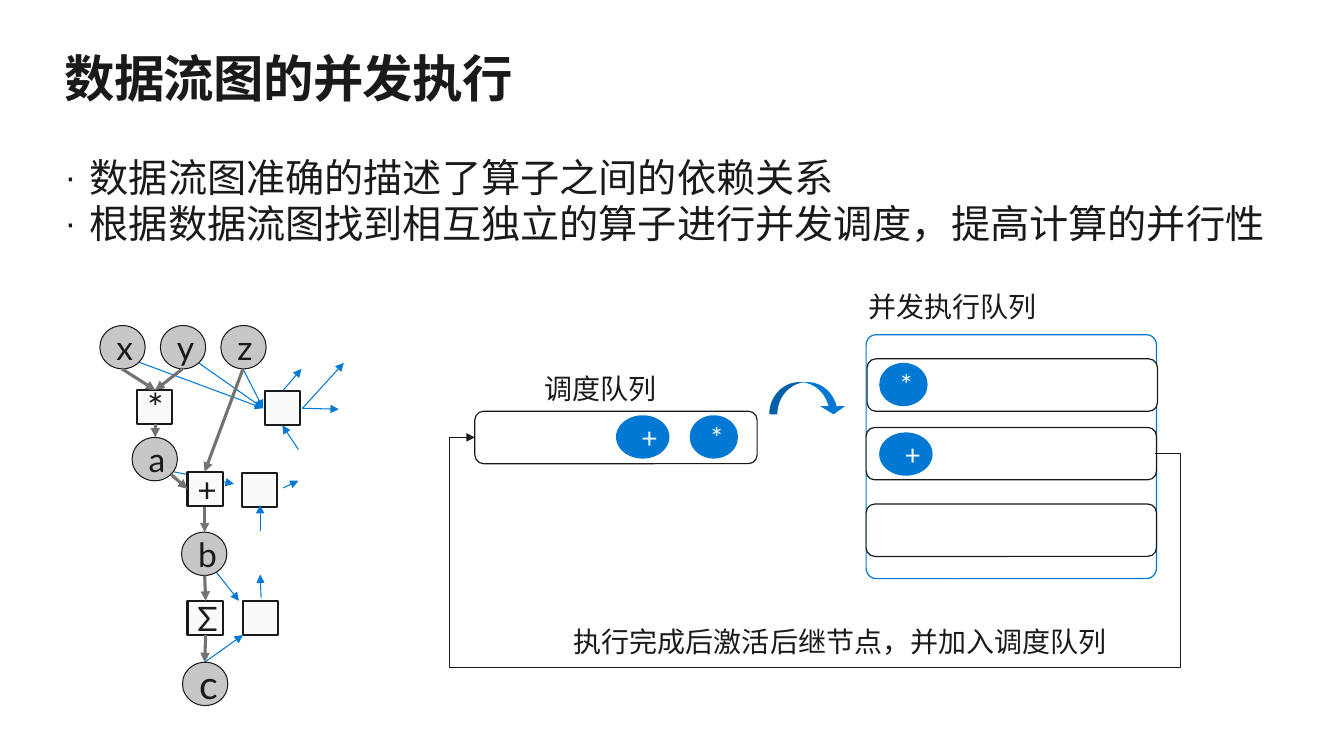
from dataclasses import dataclass

from lxml import etree
from pptx import Presentation
from pptx.dml.color import RGBColor
from pptx.enum.lang import MSO_LANGUAGE_ID as LANG
from pptx.enum.shapes import MSO_CONNECTOR as CONN, MSO_SHAPE as SHAPE
from pptx.enum.text import MSO_ANCHOR as ANCHOR, MSO_AUTO_SIZE as FIT, PP_ALIGN as ALIGN
from pptx.oxml.ns import qn
from pptx.util import Inches, Pt


@dataclass
class Theme:
    font: str = "Lato"
    ink: str = "1A1A1A"
    white: str = "FFFFFF"
    paper: str = "FAFAFA"
    blue: str = "0078D4"
    node: str = "C7C7C7"
    edge: str = "737373"
    title: int = 36
    body: int = 28
    symbol: int = 24
    label: int = 20


T = Theme()


def write(tf, text, size, color=T.ink, bold=False, align=ALIGN.LEFT, inset=(0, 0),
          anchor=ANCHOR.TOP, wrap=True, fit=FIT.NONE, spacing=None, bullet=None, gap=0):
    """Fill a text frame, one paragraph per line of text."""
    tf.margin_left = tf.margin_right = Inches(inset[0])
    tf.margin_top = tf.margin_bottom = Inches(inset[1])
    tf.vertical_anchor, tf.word_wrap, tf.auto_size = anchor, wrap, fit
    for i, line in enumerate(text.split("\n")):
        p = tf.add_paragraph() if i else tf.paragraphs[0]
        p.alignment = align
        p.space_before = Pt(gap if i else 0)
        if spacing:
            p.line_spacing = spacing
        if bullet:
            pPr = p._p.get_or_add_pPr()
            pPr.set("marL", str(Inches(0.25)))
            pPr.set("indent", str(-Inches(0.25)))
            etree.SubElement(pPr, qn("a:buSzPct"), val="90000")
            etree.SubElement(pPr, qn("a:buChar"), char=bullet)
        r = p.add_run()
        r.text = line
        f = r.font
        f.name, f.size, f.bold = T.font, Pt(size), bold
        f.color.rgb = RGBColor.from_string(color)
        f.language_id = LANG.SIMPLIFIED_CHINESE


prs = Presentation()
prs.slide_width, prs.slide_height = Inches(13.33), Inches(7.5)
s = prs.slides.add_slide(prs.slide_layouts[1])

# Title and bullets
title, body = s.placeholders
for sp, top, height in [(title, 0.5, 0.61), (body, 1.57, 1.04)]:
    sp.left, sp.top, sp.width, sp.height = map(Inches, (0.64, top, 12.05, height))
write(title.text_frame, "数据流图的并发执行", T.title, bold=True, spacing=0.9,
      anchor=ANCHOR.MIDDLE)
title.text_frame.paragraphs[0].runs[0].font._element.set("spc", "-50")
write(body.text_frame,
      "数据流图准确的描述了算子之间的依赖关系\n"
      "根据数据流图找到相互独立的算子进行并发调度，提高计算的并行性",
      T.body, spacing=0.9, bullet="·", gap=3)

# Styles: shape, fill, line, line width, text colour, insets, adjustments
styles = {
    "square": (SHAPE.RECTANGLE, T.paper, T.ink, 1.5, T.ink, (0.1, 0.05), []),
    "circle": (SHAPE.OVAL, T.node, T.ink, 0.75, T.ink, (0.1, 0.05), []),
    "lane": (SHAPE.ROUNDED_RECTANGLE, T.white, T.ink, 0.85, T.ink, (0, 0), []),
    "frame": (SHAPE.ROUNDED_RECTANGLE, T.white, T.blue, 0.85, T.ink, (0, 0), [0.042]),
    "op": (SHAPE.OVAL, T.blue, None, 0, T.white, (0.2, 0.16), []),
    "swoop": (SHAPE.CURVED_DOWN_ARROW, T.blue, None, 0, T.white, (0, 0), [0.25, 0.763, 0.25]),
}
SQUARE, CIRCLE, LANE = (0.35, 0.34), (0.45, 0.43), (2.88, 0.52)
STAR, PLUS = (0.48, 0.43), (0.53, 0.43)

# Backward graph: blank operators and their links
blanks = [("square", x, y, SQUARE, "", 0) for x, y in [(2.41, 5.96), (2.4, 4.69), (2.63, 3.88)]]
blank_links = [
    (2.03, 6.57, 2.41, 6.3), (2.1, 5.62, 2.37, 5.96), (2.59, 5.93, 2.58, 5.7),
    (2.58, 5.27, 2.58, 5.01), (1.67, 4.67, 2.32, 4.8), (2.81, 4.84, 2.96, 4.77),
    (2.96, 4.46, 2.8, 4.22), (1.37, 3.59, 2.61, 4.05), (1.97, 3.6, 2.61, 4.05),
    (2.41, 3.66, 2.61, 4.05), (2.81, 3.87, 2.99, 3.66), (3, 4.05, 3.41, 3.6),
    (3, 4.05, 3.36, 4.06),
]

# Forward graph: variables, operators and data flow
nodes = [("circle", 0.99 + 0.6 * i, 3.23, CIRCLE, name, T.symbol) for i, name in enumerate("xyz")]
nodes += [
    ("square", 1.36, 3.87, SQUARE, "*", T.body),
    ("circle", 1.31, 4.34, CIRCLE, "a", T.symbol),
    ("square", 1.86, 4.68, SQUARE, "+", T.symbol),
    ("circle", 1.8, 5.28, CIRCLE, "b", T.symbol),
    ("square", 1.86, 5.96, SQUARE, "Σ", T.symbol),
    ("circle", 1.81, 6.57, CIRCLE, "c", T.body),
]
flows = [
    (1.21, 3.66, 1.54, 3.87), (1.81, 3.66, 1.54, 3.87), (1.54, 4.21, 1.54, 4.34),
    (1.7, 4.71, 1.86, 4.85), (2.41, 3.66, 2.03, 4.68), (2.03, 5.03, 2.03, 5.28),
    (2.03, 5.71, 2.04, 5.96), (2.04, 6.3, 2.03, 6.57),
]

# Scheduling queue, execution queue and the loop back
queues = [
    ("lane", 4.71, 4.08, (2.8, 0.52), "", 0),
    ("op", 6.84, 4.12, STAR, "*", T.label),
    ("op", 6.11, 4.12, PLUS, "+", T.label),
    ("frame", 8.59, 3.32, (2.88, 2.42), "", 0),
    ("lane", 8.6, 3.56, LANE, "", 0),
    ("lane", 8.59, 4.24, LANE, "", 0),
    ("lane", 8.59, 5, LANE, "", 0),
    ("swoop", 7.63, 3.79, (0.76, 0.32), "", 0),
    ("op", 8.72, 3.6, STAR, "*", T.label),
    ("op", 8.72, 4.29, PLUS, "+", T.label),
]
x1, y1, x2, y2 = loop_back = (11.46, 4.5, 4.71, 4.34)

# Draw layer by layer, shapes below their arrows
layers = [
    (blanks, blank_links, CONN.STRAIGHT, T.blue, 0.75),
    (nodes, flows, CONN.STRAIGHT, T.edge, 2.25),
    (queues, [loop_back], CONN.ELBOW, T.ink, 0.75),
]
for shapes, arrows, conn, color, weight in layers:
    for style, x, y, size, text, pt in shapes:
        kind, fill, line, width, ink, inset, adjust = styles[style]
        sp = s.shapes.add_shape(kind, *map(Inches, (x, y, *size)))
        sp.shadow.inherit = False
        sp.fill.solid()
        sp.fill.fore_color.rgb = RGBColor.from_string(fill)
        if line:
            sp.line.color.rgb = RGBColor.from_string(line)
            sp.line.width = Pt(width)
        else:
            sp.line.fill.background()
        for i, value in enumerate(adjust):
            sp.adjustments[i] = value
        if text:
            write(sp.text_frame, text, pt, ink, align=ALIGN.CENTER, inset=inset,
                  anchor=ANCHOR.MIDDLE)
    for ends in arrows:
        cx = s.shapes.add_connector(conn, *map(Inches, ends))
        cx.line.color.rgb = RGBColor.from_string(color)
        cx.line.width = Pt(weight)
        etree.SubElement(cx.line._get_or_add_ln(), qn("a:tailEnd"), type="triangle")
        etree.SubElement(cx._element.spPr, qn("a:effectLst"))

# Route the loop back around the queues with five segments
geom = cx._element.spPr.find(qn("a:prstGeom"))
geom.set("prst", "bentConnector5")
guides = geom.find(qn("a:avLst"))
turns = [(11.71 - x1) / (x2 - x1), (6.63 - y1) / (y2 - y1), (4.46 - x1) / (x2 - x1)]
for i, turn in enumerate(turns, 1):
    etree.SubElement(guides, qn("a:gd"), name=f"adj{i}", fmla=f"val {round(turn * 100000)}")

# Labels
for x, y, w, text in [
    (5.4, 3.69, 1.12, "调度队列"),
    (8.61, 2.87, 1.68, "并发执行队列"),
    (5.69, 6.2, 5.3, "执行完成后激活后继节点，并加入调度队列"),
]:
    tb = s.shapes.add_textbox(*map(Inches, (x, y, w, 0.34)))
    write(tb.text_frame, text, T.label, wrap=False, fit=FIT.SHAPE_TO_FIT_TEXT)

prs.save("out.pptx")
